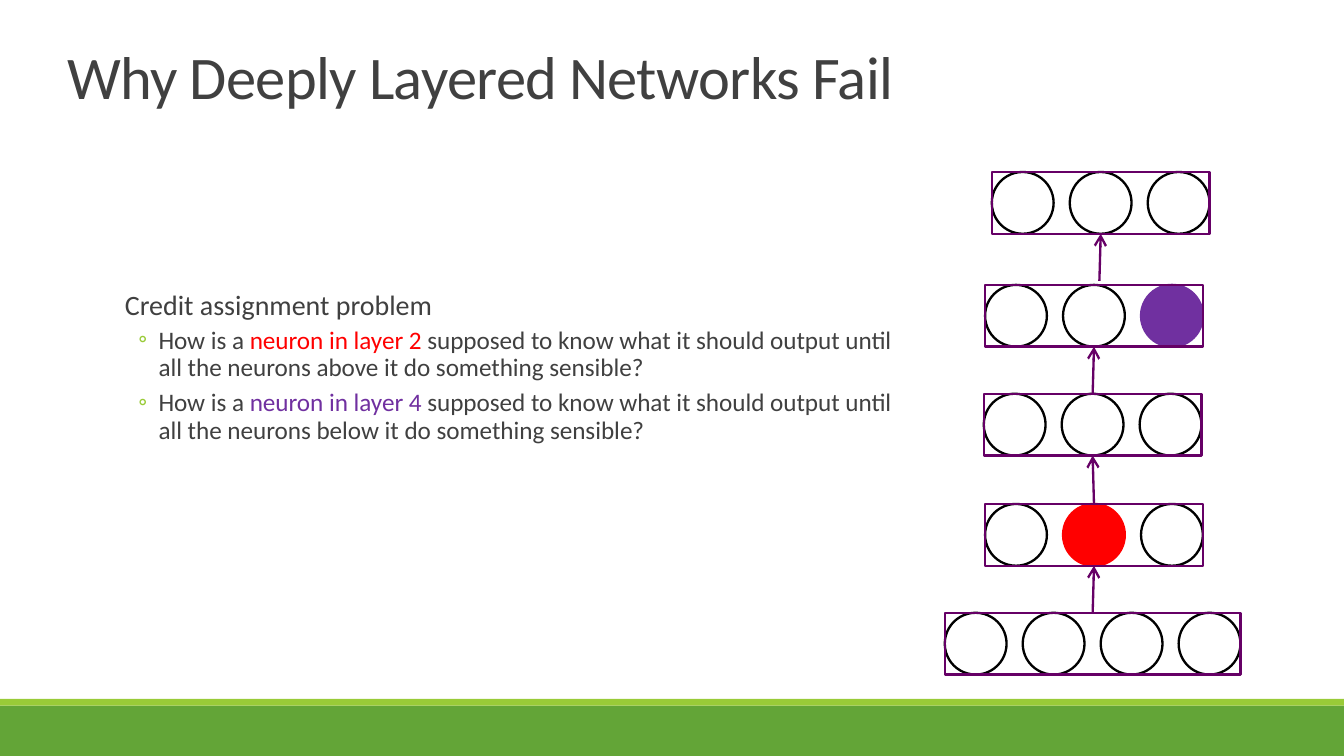
from lxml import etree
from pptx import Presentation
from pptx.dml.color import RGBColor
from pptx.enum.shapes import MSO_CONNECTOR, MSO_SHAPE
from pptx.enum.text import MSO_ANCHOR, MSO_AUTO_SIZE, PP_ALIGN
from pptx.oxml.ns import qn
from pptx.util import Inches, Pt

RECTANGLE = MSO_SHAPE.RECTANGLE
OVAL = MSO_SHAPE.OVAL
STRAIGHT = MSO_CONNECTOR.STRAIGHT
BOTTOM = MSO_ANCHOR.BOTTOM
NO_AUTOFIT = MSO_AUTO_SIZE.NONE
LEFT = PP_ALIGN.LEFT

WHITE = RGBColor(0xFF, 0xFF, 0xFF)
BLACK = RGBColor(0x00, 0x00, 0x00)
GRAY = RGBColor(0x40, 0x40, 0x40)
GREEN = RGBColor(0x63, 0xA5, 0x37)
LIME = RGBColor(0x99, 0xCB, 0x38)
RED = RGBColor(0xFF, 0x00, 0x00)
VIOLET = RGBColor(0x70, 0x30, 0xA0)
PLUM = RGBColor(0x66, 0x00, 0x66)

SLIDE_WIDTH = 10
SLIDE_HEIGHT = SLIDE_WIDTH * 9 / 16
FONT = "Calibri"
LINE_WIDTH = Pt(1.25)
NEURON_SIZE = 0.46
NEURON_STEP = 0.58
TOP_SIDE, BOTTOM_SIDE = 0, 2

LAYERS = [
    (7.03, 4.56, [WHITE] * 4),
    (7.33, 3.75, [WHITE, RED, WHITE]),
    (7.32, 2.93, [WHITE] * 3),
    (7.33, 2.12, [WHITE, WHITE, VIOLET]),
    (7.38, 1.28, [WHITE] * 3),
]
QUESTIONS = [
    ("neuron in layer 2 ", RED, "above"),
    ("neuron in layer 4 ", VIOLET, "below"),
]


def add_box(slide, kind, left, top, width, height, fill=None, line=None):
    shape = slide.shapes.add_shape(
        kind, Inches(left), Inches(top), Inches(width), Inches(height))
    shape.shadow.inherit = False
    if fill is None:
        shape.fill.background()
    else:
        shape.fill.solid()
        shape.fill.fore_color.rgb = fill
    if line is None:
        shape.line.fill.background()
    else:
        shape.line.color.rgb = line
        shape.line.width = LINE_WIDTH
    return shape


def add_run(paragraph, text, size, color):
    run = paragraph.add_run()
    run.text = text
    run.font.name = FONT
    run.font.size = Pt(size)
    run.font.color.rgb = color
    return run


def add_title(slide, text):
    title = slide.shapes.title
    title.left, title.top = Inches(0.4), Inches(0.27)
    title.width, title.height = Inches(8.25), Inches(0.61)
    frame = title.text_frame
    frame.auto_size = NO_AUTOFIT
    frame.vertical_anchor = BOTTOM
    paragraph = frame.paragraphs[0]
    paragraph.alignment = LEFT
    paragraph.line_spacing = 0.85
    run = add_run(paragraph, text, 32.4, GRAY)
    run.font._element.set("spc", "-38")


def format_paragraph(paragraph, margin, hanging, before, after, bullet):
    paragraph.line_spacing = 0.9
    paragraph.space_before = Pt(before)
    paragraph.space_after = Pt(after)
    properties = paragraph._p.get_or_add_pPr()
    properties.set("marL", str(Inches(margin)))
    properties.set("indent", str(-Inches(hanging)))
    bullet_color = etree.SubElement(properties, qn("a:buClr"))
    etree.SubElement(bullet_color, qn("a:srgbClr"), val=str(LIME))
    etree.SubElement(properties, qn("a:buFont"), typeface=FONT)
    etree.SubElement(properties, qn("a:buChar"), char=bullet)


def add_body(slide):
    box = slide.shapes.add_textbox(
        Inches(0.86), Inches(2.12), Inches(5.83), Inches(3.9))
    frame = box.text_frame
    frame.word_wrap = True
    frame.margin_left = frame.margin_right = 0
    heading = frame.paragraphs[0]
    format_paragraph(heading, 0.07, 0.07, 9, 1.5, " ")
    add_run(heading, "Credit assignment problem", 15, GRAY)
    for neuron, color, direction in QUESTIONS:
        paragraph = frame.add_paragraph()
        paragraph.level = 1
        format_paragraph(paragraph, 0.32, 0.15, 1.5, 3, "◦")
        add_run(paragraph, "How is a ", 13.5, GRAY)
        add_run(paragraph, neuron, 13.5, color)
        add_run(paragraph, "supposed to know what it should output until all the "
                f"neurons {direction} it do something sensible?", 13.5, GRAY)


def add_layer(slide, left, top, fills):
    for index, fill in enumerate(fills):
        line = BLACK if fill == WHITE else fill
        add_box(slide, OVAL, left + index * NEURON_STEP, top,
                NEURON_SIZE, NEURON_SIZE, fill, line)
    width = (len(fills) - 1) * NEURON_STEP + NEURON_SIZE
    return add_box(slide, RECTANGLE, left, top, width, NEURON_SIZE, line=PLUM)


def add_arrow(slide, upper, lower=None):
    arrow = slide.shapes.add_connector(
        STRAIGHT, Inches(8.18), Inches(2.09), Inches(8.2), Inches(1.74))
    if lower is not None:
        arrow.begin_connect(lower, TOP_SIDE)
    arrow.end_connect(upper, BOTTOM_SIDE)
    arrow.line.color.rgb = PLUM
    arrow.line.width = LINE_WIDTH
    etree.SubElement(arrow.line._get_or_add_ln(), qn("a:tailEnd"), type="arrow")
    etree.SubElement(arrow._element.spPr, qn("a:effectLst"))


def main():
    presentation = Presentation()
    presentation.slide_width = Inches(SLIDE_WIDTH)
    presentation.slide_height = Inches(SLIDE_HEIGHT)
    slide = presentation.slides.add_slide(presentation.slide_layouts[5])
    add_box(slide, RECTANGLE, 0, 5.25, SLIDE_WIDTH, SLIDE_HEIGHT - 5.25, GREEN)
    add_box(slide, RECTANGLE, 0, 5.2, SLIDE_WIDTH, 0.05, LIME)
    add_title(slide, "Why Deeply Layered Networks Fail")
    add_body(slide)
    frames = [add_layer(slide, *layer) for layer in LAYERS]
    for lower, upper in zip(frames[:3], frames[1:4]):
        add_arrow(slide, upper, lower)
    add_arrow(slide, frames[4])
    presentation.save("out.pptx")


if __name__ == "__main__":
    main()
